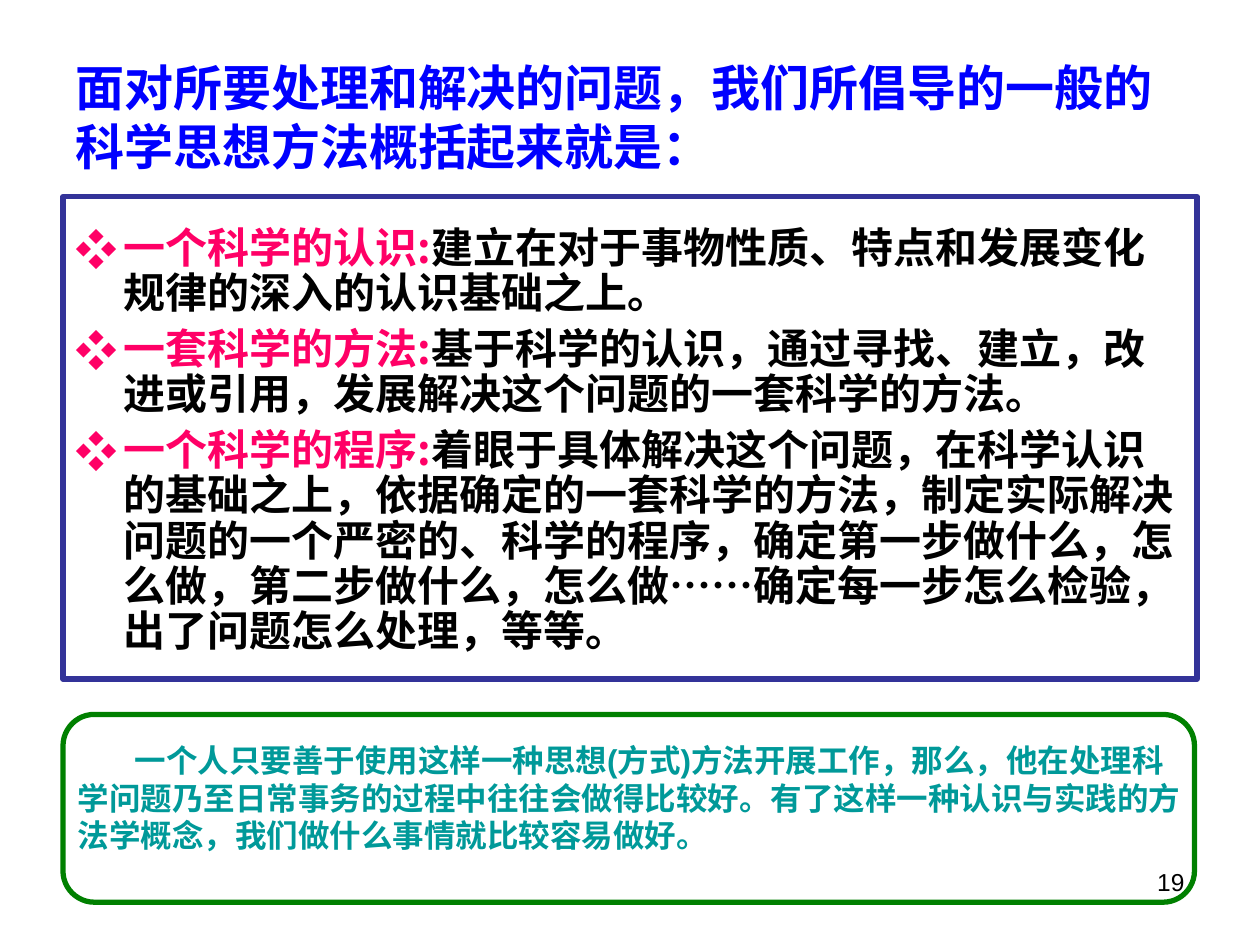
from lxml import etree
from pptx import Presentation
from pptx.dml.color import RGBColor
from pptx.enum.shapes import MSO_SHAPE
from pptx.enum.text import MSO_ANCHOR, MSO_AUTO_SIZE, PP_ALIGN
from pptx.oxml.ns import qn
from pptx.util import Inches, Pt

RECTANGLE, ROUNDED = MSO_SHAPE.RECTANGLE, MSO_SHAPE.ROUNDED_RECTANGLE
TOP, MIDDLE = MSO_ANCHOR.TOP, MSO_ANCHOR.MIDDLE
NO_AUTOFIT = MSO_AUTO_SIZE.NONE
LEFT, RIGHT = PP_ALIGN.LEFT, PP_ALIGN.RIGHT

LATIN, CJK = "Arial", "Noto Sans CJK SC"
COLORS = {
    "title": "0000FF",
    "term": "FF0066",
    "text": "000000",
    "frame": "333399",
    "conclusion": "009999",
    "conclusion_frame": "008000",
}
HEADING = "面对所要处理和解决的问题，我们所倡导的一般的科学思想方法概括起来就是："
PRINCIPLES = [
    ("一个科学的认识:", "建立在对于事物性质、特点和发展变化规律的深入的认识基础之上。"),
    ("一套科学的方法:",
     "基于科学的认识，通过寻找、建立，改进或引用，发展解决这个问题的一套科学的方法。"),
    ("一个科学的程序:",
     "着眼于具体解决这个问题，在科学认识的基础之上，依据确定的一套科学的方法，"
     "制定实际解决问题的一个严密的、科学的程序，确定第一步做什么，怎么做，"
     "第二步做什么，怎么做……确定每一步怎么检验，出了问题怎么处理，等等。"),
]
CONCLUSION = (
    "一个人只要善于使用这样一种思想(方式)方法开展工作，那么，"
    "他在处理科学问题乃至日常事务的过程中往往会做得比较好。"
    "有了这样一种认识与实践的方法学概念，我们做什么事情就比较容易做好。"
)


def place(shape, box):
    """Move a shape to a box of left, top, width and height in inches."""
    shape.left, shape.top, shape.width, shape.height = map(Inches, box)


def prepare_frame(shape, anchor=TOP):
    """Return the wrapping, fixed-size text frame of a shape."""
    frame = shape.text_frame
    frame.word_wrap = True
    frame.auto_size = NO_AUTOFIT
    frame.vertical_anchor = anchor
    return frame


def add_text(paragraph, text, *, size, color, font=LATIN, bold=True):
    """Append formatted text to a paragraph."""
    run = paragraph.add_run()
    run.text = text
    run.font.size = Pt(size)
    run.font.bold = bold
    run.font.name = font
    run.font.color.rgb = RGBColor.from_string(COLORS[color])
    east_asian = etree.SubElement(run.font._element, qn("a:ea"))
    east_asian.set("typeface", CJK)


def set_bullet(paragraph, symbol, color, indent):
    """Give a paragraph a coloured bullet with a hanging indent."""
    properties = paragraph._p.get_or_add_pPr()
    properties.set("marL", str(indent))
    properties.set("indent", str(-indent))
    bullet_color = etree.SubElement(properties, qn("a:buClr"))
    etree.SubElement(bullet_color, qn("a:srgbClr")).set("val", COLORS[color])
    etree.SubElement(properties, qn("a:buFont")).set("typeface", CJK)
    etree.SubElement(properties, qn("a:buChar")).set("char", symbol)


def add_frame(slide, preset, box, color):
    """Draw an unfilled outline around a region."""
    outline = slide.shapes.add_shape(preset, *map(Inches, box))
    outline.shadow.inherit = False
    outline.fill.background()
    outline.line.color.rgb = RGBColor.from_string(COLORS[color])
    outline.line.width = Pt(3)


def add_heading(slide, box):
    """Fill the title placeholder."""
    place(slide.shapes.title, box)
    paragraph = prepare_frame(slide.shapes.title, MIDDLE).paragraphs[0]
    paragraph.alignment = LEFT
    add_text(paragraph, HEADING, size=28, color="title")


def add_principles(slide, box):
    """Fill the body placeholder with the three principles and frame it."""
    left, top, width, height = box
    body = slide.placeholders[1]
    place(body, (left, top + 0.19, width, height))
    frame = prepare_frame(body)
    for index, (term, explanation) in enumerate(PRINCIPLES):
        paragraph = frame.add_paragraph() if index else frame.paragraphs[0]
        paragraph.line_spacing = 0.9
        paragraph.space_before = Pt(6 if index else 0)
        set_bullet(paragraph, "❖", "term", Inches(0.38))
        add_text(paragraph, term, size=24, color="term", font=CJK)
        add_text(paragraph, explanation, size=24, color="text", font=CJK)
    add_frame(slide, RECTANGLE, box, "frame")


def add_conclusion(slide, box):
    """Write the closing remark inside a rounded frame."""
    left, top, width, _ = box
    remark = slide.shapes.add_textbox(*map(Inches, (left + 0.02, top + 0.16, width - 0.03, 1)))
    paragraph = prepare_frame(remark).paragraphs[0]
    paragraph._p.get_or_add_pPr().set("indent", str(Inches(0.45)))
    add_text(paragraph, CONCLUSION, size=18, color="conclusion")
    add_frame(slide, ROUNDED, box, "conclusion_frame")


def add_page_number(slide, box):
    """Write the page number at the right of its box."""
    number = slide.shapes.add_textbox(*map(Inches, box))
    paragraph = prepare_frame(number).paragraphs[0]
    paragraph.alignment = RIGHT
    add_text(paragraph, "19", size=14, color="text", bold=False)


def main():
    """Build and save the slide."""
    presentation = Presentation()
    presentation.slide_width, presentation.slide_height = Inches(10), Inches(7.5)
    slide = presentation.slides.add_slide(presentation.slide_layouts[1])
    add_heading(slide, (0.5, 0.3, 9, 1.25))
    add_principles(slide, (0.5, 1.56, 9, 3.83))
    add_conclusion(slide, (0.5, 5.67, 8.98, 1.49))
    add_page_number(slide, (7.17, 6.83, 2.33, 0.52))
    presentation.save("out.pptx")


if __name__ == "__main__":
    main()
